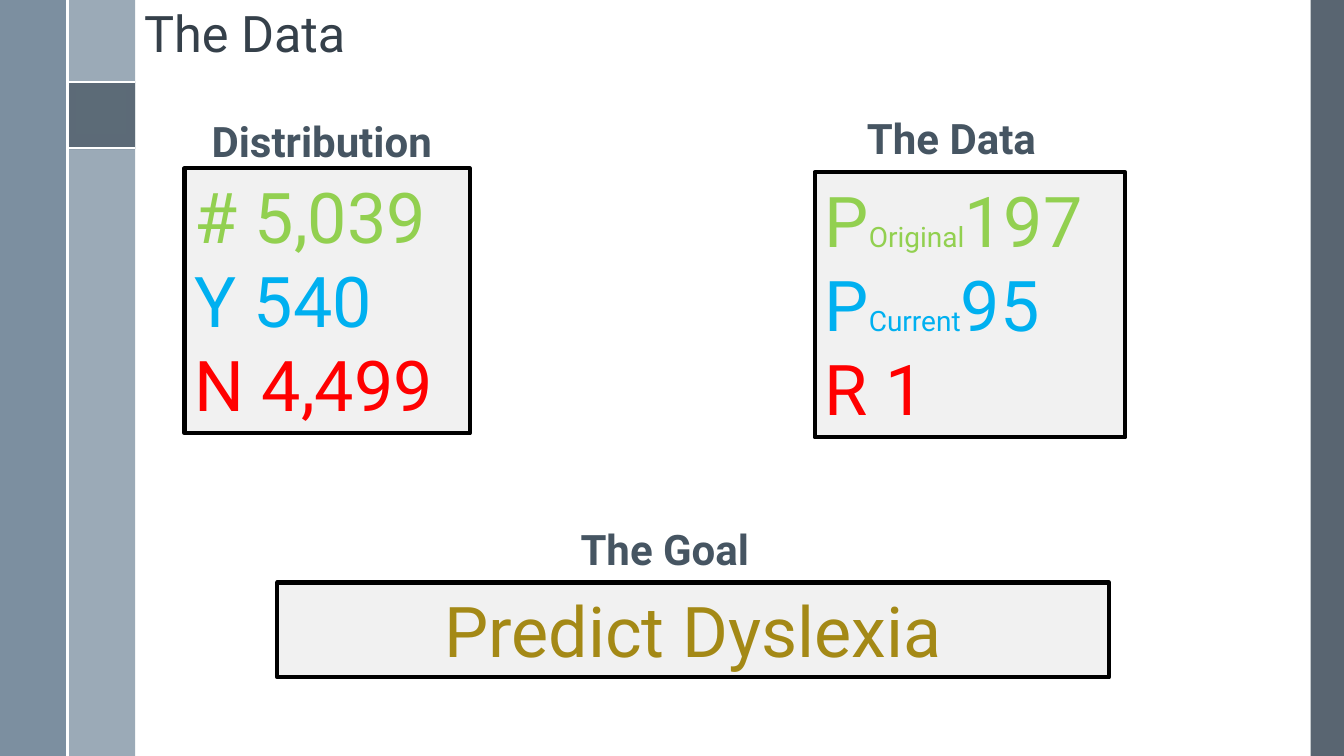
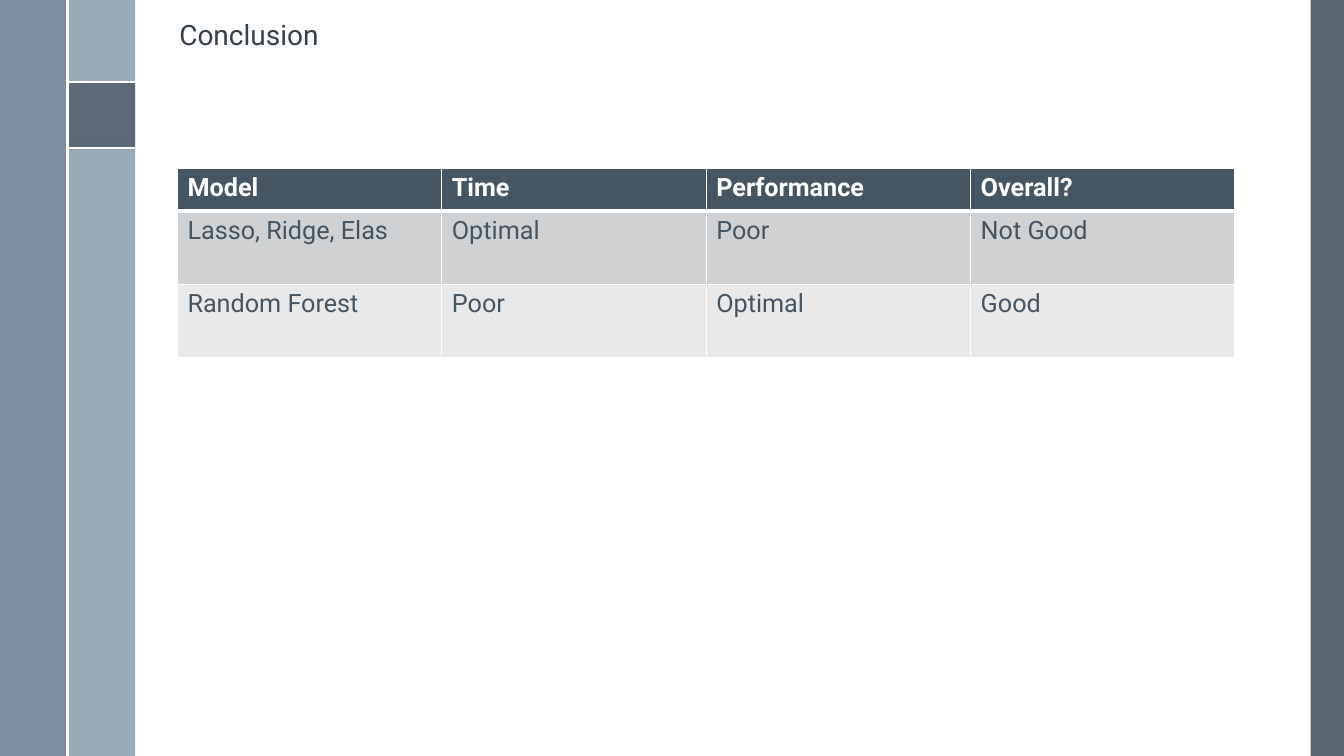
import dataclasses

import lxml.etree
import pptx
import pptx.dml.color
import pptx.enum.shapes
import pptx.enum.text
import pptx.oxml.ns
import pptx.presentation
import pptx.shapes.autoshape
import pptx.slide
import pptx.table
import pptx.text.text
import pptx.util
from pptx.dml.color import RGBColor
from pptx.util import Inches

FONT = "Roboto"
WHITE = RGBColor(0xFF, 0xFF, 0xFF)
BLACK = RGBColor(0x00, 0x00, 0x00)
TITLE_INK = RGBColor(0x35, 0x40, 0x4A)
SLATE = RGBColor(0x46, 0x55, 0x62)
BAND_DARK = RGBColor(0x47, 0x55, 0x62)
BAND_LIGHT = RGBColor(0x9B, 0xAA, 0xB7)
BAND_BLUE = RGBColor(0x6A, 0x80, 0x93)
MARKER = RGBColor(0x5C, 0x6B, 0x77)
PANEL = RGBColor(0xF1, 0xF1, 0xF1)
GREEN = RGBColor(0x92, 0xD0, 0x50)
BLUE = RGBColor(0x00, 0xB0, 0xF0)
RED = RGBColor(0xFF, 0x00, 0x00)
GOLD = RGBColor(0xA4, 0x89, 0x16)
ROW_DARK = RGBColor(0xCF, 0xD1, 0xD3)
ROW_LIGHT = RGBColor(0xE9, 0xE9, 0xEA)

WIDTH, HEIGHT = 13.33, 7.5
BAND = 0.67
MARK_TOP = 0.81
FIGURE_SIZE, LABEL_SIZE, HEADING_SIZE = 50, 20, 30
LEFT = pptx.enum.text.PP_ALIGN.LEFT
CENTER = pptx.enum.text.PP_ALIGN.CENTER


@dataclasses.dataclass(frozen=True)
class Area:
    left: float
    top: float
    width: float
    height: float

    def lengths(self) -> tuple[pptx.util.Length, ...]:
        return tuple(Inches(value) for value in dataclasses.astuple(self))


@dataclasses.dataclass(frozen=True)
class Block:
    area: Area
    color: RGBColor
    opacity: int = 100


@dataclasses.dataclass(frozen=True)
class Span:
    text: str
    size: float
    color: RGBColor
    bold: bool = False


@dataclasses.dataclass(frozen=True)
class Panel:
    heading: str
    heading_left: float
    heading_top: float
    area: Area
    lines: tuple[tuple[Span, ...], ...]
    align: pptx.enum.text.PP_ALIGN = LEFT


BLOCKS = (
    Block(Area(13, 0, 0.33, HEIGHT), BAND_DARK, 90),
    Block(Area(BAND, 0, BAND, HEIGHT), BAND_LIGHT),
    Block(Area(0, 0, BAND, HEIGHT), BAND_BLUE, 88),
    Block(Area(BAND, MARK_TOP, BAND, BAND), BAND_DARK, 75),
)
RULES = (
    (BAND, MARK_TOP, 2 * BAND, MARK_TOP),
    (BAND, 1.47, 2 * BAND, 1.47),
    (BAND, 0, BAND, HEIGHT),
)
MARKER_BLOCK = Block(Area(0.75, 0.87, 0.5, 0.46), MARKER)


def figure(text: str, color: RGBColor) -> Span:
    return Span(text, FIGURE_SIZE, color)


def labelled(letter: str, label: str, value: str, color: RGBColor) -> tuple[Span, ...]:
    return figure(letter, color), Span(label, LABEL_SIZE, color), figure(value, color)


PANELS = (
    Panel(
        "Distribution", 2, 1.1, Area(1.83, 1.67, 2.83, 2.63),
        (
            (figure("# 5,039", GREEN),),
            (figure("Y 540", BLUE),),
            (figure("N 4,499", RED),),
        ),
    ),
    Panel(
        "The Data", 8.5, 1.07, Area(8.08, 1.71, 3.08, 2.63),
        (
            labelled("P", "Original", "197", GREEN),
            labelled("P", "Current", "95", BLUE),
            (figure("R 1", RED),),
        ),
    ),
    Panel(
        "The Goal", 5.66, 5.14, Area(2.75, 5.78, 8.25, 0.94),
        ((figure("Predict Dyslexia", GOLD),),), CENTER,
    ),
)

MODEL_ROWS = (
    ("Model", "Time", "Performance", "Overall?"),
    ("Lasso, Ridge, Elas", "Optimal", "Poor", "Not Good"),
    ("Random Forest", "Poor", "Optimal", "Good"),
)
ROW_HEIGHTS = (0.42, 0.73, 0.73)
ROW_FILLS = (SLATE, ROW_DARK, ROW_LIGHT)


def add_spans(para: pptx.text.text._Paragraph, spans: tuple[Span, ...]) -> None:
    for span in spans:
        run = para.add_run()
        run.text = span.text
        run.font.name = FONT
        run.font.size = pptx.util.Pt(span.size)
        run.font.bold = span.bold
        run.font.color.rgb = span.color


def add_block(page: pptx.slide.Slide, block: Block) -> pptx.shapes.autoshape.Shape:
    box = page.shapes.add_shape(
        pptx.enum.shapes.MSO_SHAPE.RECTANGLE, *block.area.lengths()
    )
    box.shadow.inherit = False
    box.fill.solid()
    box.fill.fore_color.rgb = block.color
    box.line.fill.background()
    if block.opacity < 100:
        color = box.fill._xPr.find(".//" + pptx.oxml.ns.qn("a:srgbClr"))
        alpha = lxml.etree.SubElement(color, pptx.oxml.ns.qn("a:alpha"))
        alpha.set("val", str(block.opacity * 1000))
    return box


def add_rule(page: pptx.slide.Slide, ends: tuple[float, ...]) -> None:
    rule = page.shapes.add_connector(
        pptx.enum.shapes.MSO_CONNECTOR.STRAIGHT, *(Inches(end) for end in ends)
    )
    rule.line.color.rgb = WHITE
    rule.line.width = pptx.util.Pt(1.5)
    lxml.etree.SubElement(rule._element.spPr, pptx.oxml.ns.qn("a:effectLst"))


def add_text(page: pptx.slide.Slide, area: Area, span: Span) -> pptx.text.text.TextFrame:
    frame = page.shapes.add_textbox(*area.lengths()).text_frame
    frame.word_wrap = True
    add_spans(frame.paragraphs[0], (span,))
    return frame


def add_page(
    deck: pptx.presentation.Presentation, title: str, area: Area, size: float
) -> pptx.slide.Slide:
    page = deck.slides.add_slide(deck.slide_layouts[6])
    page.background.fill.solid()
    page.background.fill.fore_color.rgb = WHITE
    for block in BLOCKS:
        add_block(page, block)
    for ends in RULES:
        add_rule(page, ends)
    add_block(page, MARKER_BLOCK)
    frame = add_text(page, area, Span(title, size, TITLE_INK))
    frame.vertical_anchor = pptx.enum.text.MSO_ANCHOR.BOTTOM
    frame.paragraphs[0].line_spacing = 0.9
    return page


def add_panel(page: pptx.slide.Slide, panel: Panel) -> None:
    box = add_block(page, Block(panel.area, PANEL))
    box.line.color.rgb = BLACK
    box.line.width = pptx.util.Pt(3)
    frame = box.text_frame
    frame.word_wrap = True
    frame.vertical_anchor = pptx.enum.text.MSO_ANCHOR.TOP
    for index, spans in enumerate(panel.lines):
        para = frame.add_paragraph() if index else frame.paragraphs[0]
        para.alignment = panel.align
        add_spans(para, spans)
    heading_area = Area(panel.heading_left, panel.heading_top, 2.83, 0.61)
    add_text(page, heading_area, Span(panel.heading, HEADING_SIZE, SLATE, True))


def add_borders(cell: pptx.table._Cell, row: int) -> None:
    properties = cell._tc.get_or_add_tcPr()
    widths = {"L": 1, "R": 1, "T": 3 if row == 1 else 1, "B": 3 if row == 0 else 1}
    for side, width in widths.items():
        line = lxml.etree.SubElement(properties, pptx.oxml.ns.qn(f"a:ln{side}"))
        line.set("w", str(pptx.util.Pt(width)))
        fill = lxml.etree.SubElement(line, pptx.oxml.ns.qn("a:solidFill"))
        color = lxml.etree.SubElement(fill, pptx.oxml.ns.qn("a:srgbClr"))
        color.set("val", str(WHITE))


def add_model_table(page: pptx.slide.Slide, area: Area) -> None:
    table = page.shapes.add_table(
        len(MODEL_ROWS), len(MODEL_ROWS[0]), *area.lengths()
    ).table
    for column in table.columns:
        column.width = Inches(area.width / len(MODEL_ROWS[0]))
    for row, texts in enumerate(MODEL_ROWS):
        table.rows[row].height = Inches(ROW_HEIGHTS[row])
        header = row == 0
        for column, text in enumerate(texts):
            cell = table.cell(row, column)
            add_borders(cell, row)
            cell.fill.solid()
            cell.fill.fore_color.rgb = ROW_FILLS[row]
            span = Span(text, 18, WHITE if header else SLATE, header)
            add_spans(cell.text_frame.paragraphs[0], (span,))


def main() -> None:
    deck = pptx.Presentation()
    deck.slide_width = Inches(WIDTH)
    deck.slide_height = Inches(HEIGHT)

    data_page = add_page(deck, "The Data", Area(1.33, 0, 2.51, 0.68), 36)
    for panel in PANELS:
        add_panel(data_page, panel)

    conclusion_page = add_page(deck, "Conclusion", Area(1.68, 0.05, 7.16, 0.51), 20)
    add_model_table(conclusion_page, Area(1.76, 1.67, 10.49, sum(ROW_HEIGHTS)))

    deck.save("out.pptx")


if __name__ == "__main__":
    main()
